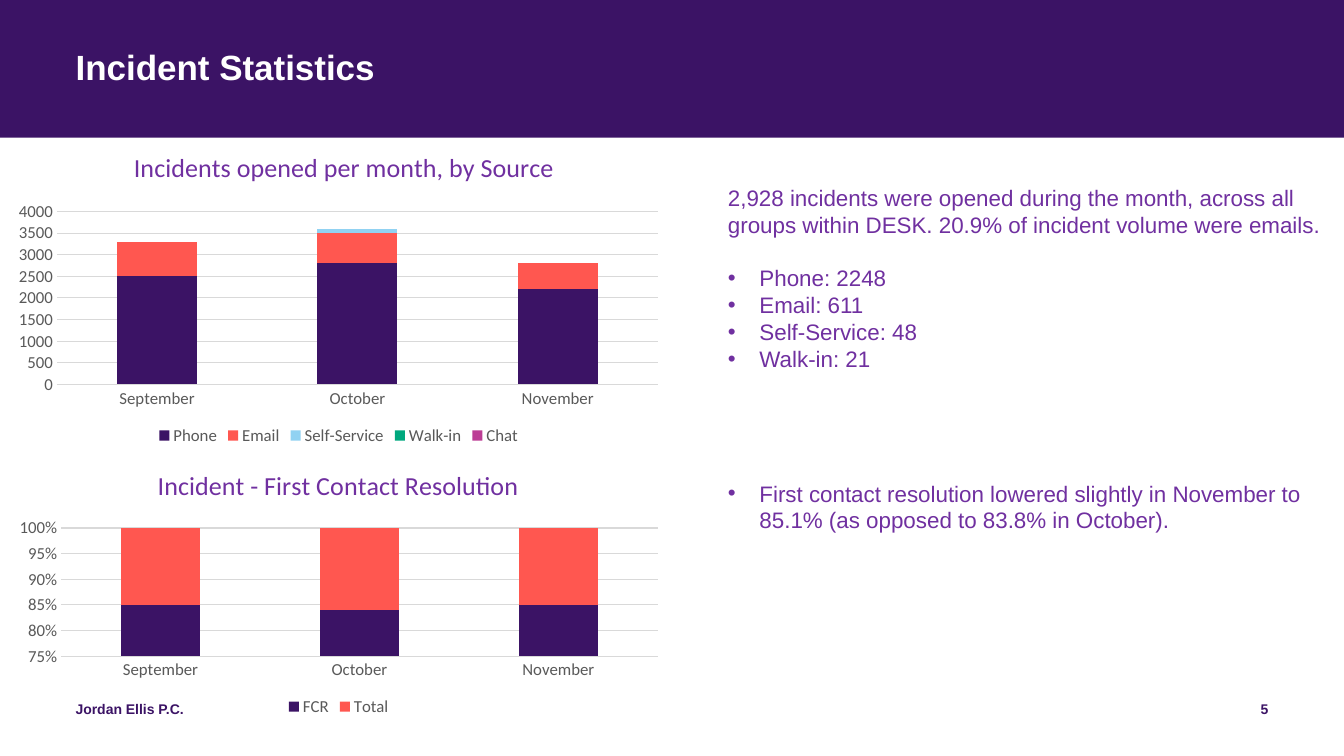
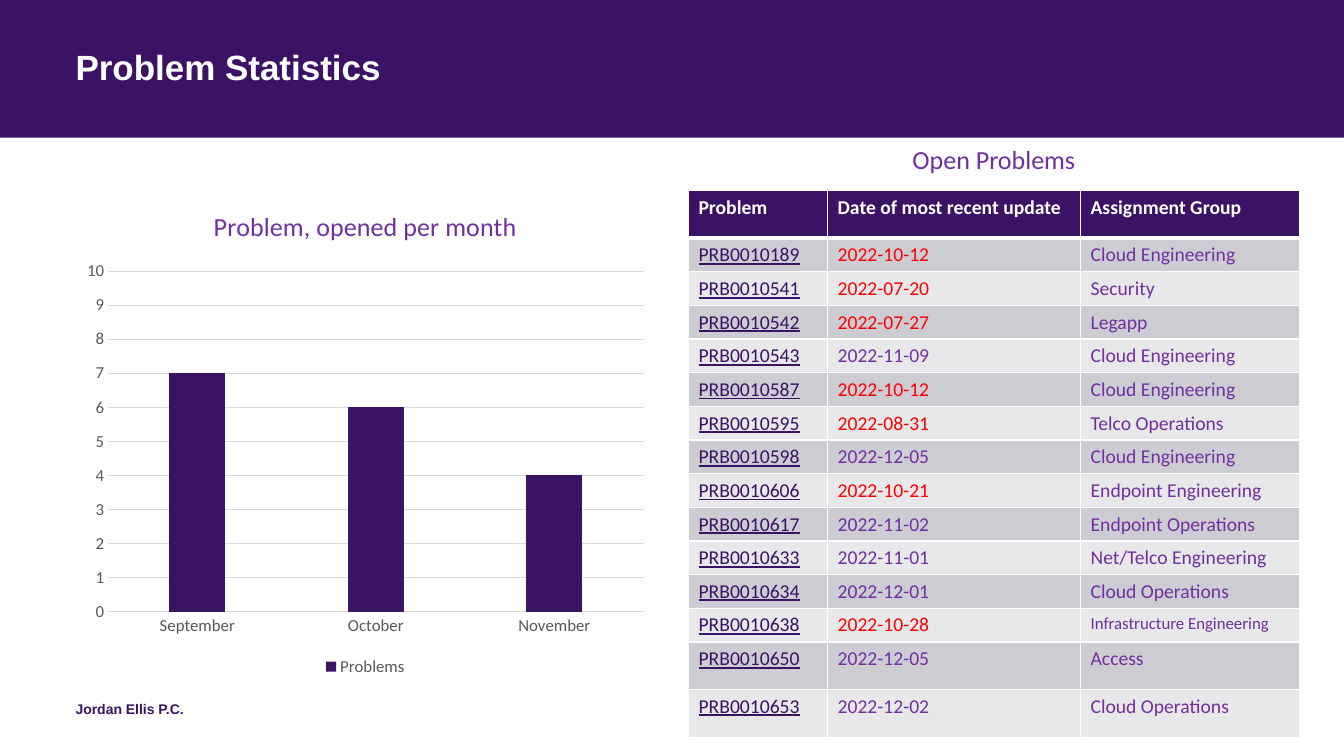
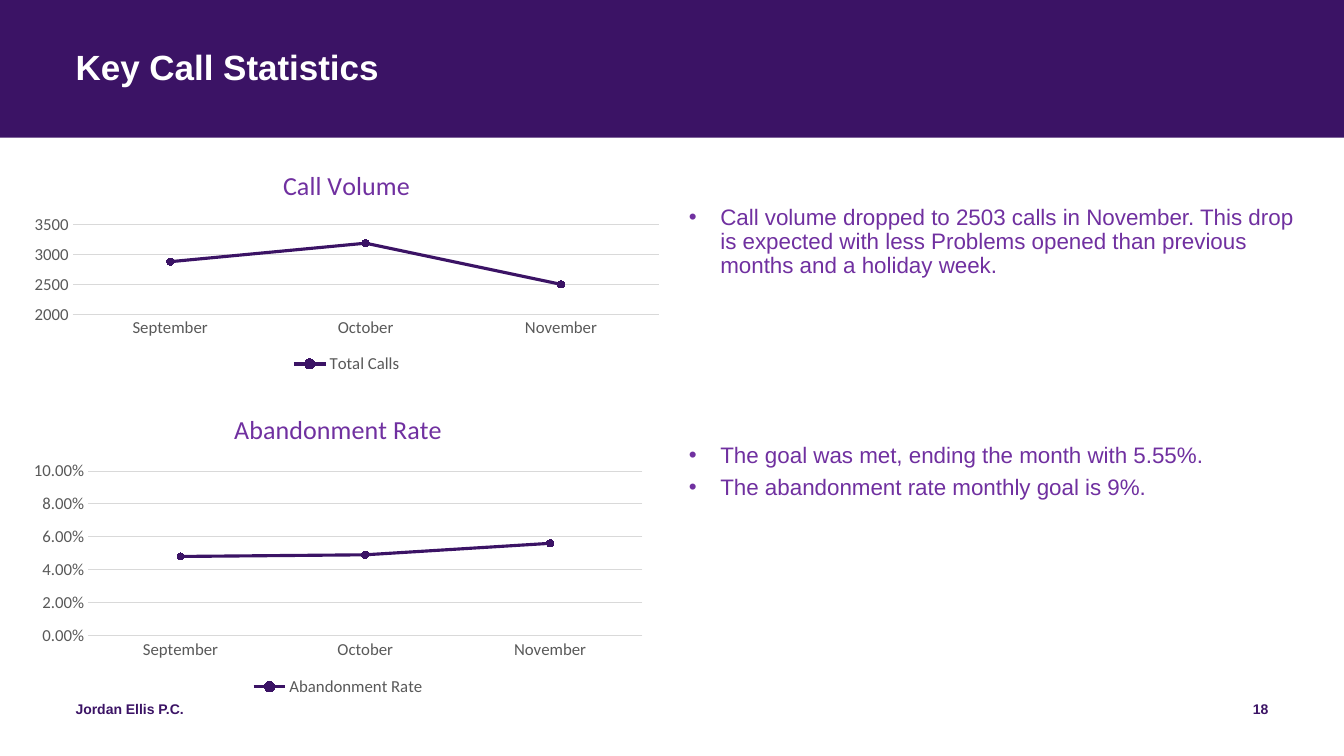
from lxml import etree
from pptx import Presentation
from pptx.chart.data import CategoryChartData
from pptx.dml.color import RGBColor
from pptx.enum.chart import XL_CHART_TYPE, XL_LEGEND_POSITION, XL_MARKER_STYLE, XL_TICK_MARK
from pptx.enum.shapes import MSO_SHAPE
from pptx.enum.text import PP_ALIGN
from pptx.oxml.ns import qn
from pptx.util import Pt

STACKED = XL_CHART_TYPE.COLUMN_STACKED
STACKED_100 = XL_CHART_TYPE.COLUMN_STACKED_100
CLUSTERED = XL_CHART_TYPE.COLUMN_CLUSTERED
LINE = XL_CHART_TYPE.LINE_MARKERS
BOTTOM = XL_LEGEND_POSITION.BOTTOM
CIRCLE = XL_MARKER_STYLE.CIRCLE
NO_TICK = XL_TICK_MARK.NONE
RECTANGLE = MSO_SHAPE.RECTANGLE
LEFT, CENTER, RIGHT = PP_ALIGN.LEFT, PP_ALIGN.CENTER, PP_ALIGN.RIGHT

INDIGO = RGBColor(0x3B, 0x13, 0x65)
PURPLE = RGBColor(0x70, 0x30, 0xA0)
CORAL = RGBColor(0xFF, 0x57, 0x50)
SKY = RGBColor(0x91, 0xD2, 0xF2)
GREEN = RGBColor(0x00, 0xA8, 0x7E)
MAGENTA = RGBColor(0xBC, 0x3D, 0x95)
RED = RGBColor(0xFF, 0x00, 0x00)
WHITE = RGBColor(0xFF, 0xFF, 0xFF)
GRAY = RGBColor(0x59, 0x59, 0x59)
GRID = RGBColor(0xD9, 0xD9, 0xD9)
ROW_DARK = RGBColor(0xCE, 0xCC, 0xD3)
ROW_LIGHT = RGBColor(0xE8, 0xE7, 0xEA)
SERIES_COLORS = (INDIGO, CORAL, SKY, GREEN, MAGENTA)

HEADING_FONT, CHART_FONT = "Arial", "Calibri"
CHART_TITLE_SIZE = 18.6
SLIDE_WIDTH, SLIDE_HEIGHT = 960, 540
BAND_HEIGHT = 98.3
MARGIN = 54
FOOTER_TOP, FOOTER_HEIGHT = 500.4, 28.8
HANGING_INDENT = 22.5
COMPANY = "Jordan Ellis P.C."
MONTHS = ("September", "October", "November")

PROBLEM_HEADER = ("Problem", "Date of most recent update", "Assignment Group")
OPEN_PROBLEMS = (
    ("PRB0010189", "2022-10-12", "Cloud Engineering"),
    ("PRB0010541", "2022-07-20", "Security"),
    ("PRB0010542", "2022-07-27", "Legapp"),
    ("PRB0010543", "2022-11-09", "Cloud Engineering"),
    ("PRB0010587", "2022-10-12", "Cloud Engineering"),
    ("PRB0010595", "2022-08-31", "Telco Operations"),
    ("PRB0010598", "2022-12-05", "Cloud Engineering"),
    ("PRB0010606", "2022-10-21", "Endpoint Engineering"),
    ("PRB0010617", "2022-11-02", "Endpoint Operations"),
    ("PRB0010633", "2022-11-01", "Net/Telco Engineering"),
    ("PRB0010634", "2022-12-01", "Cloud Operations"),
    ("PRB0010638", "2022-10-28", "Infrastructure Engineering"),
    ("PRB0010650", "2022-12-05", "Access"),
    ("PRB0010653", "2022-12-02", "Cloud Operations"),
)
OVERDUE_BEFORE = "2022-11-01"
COLUMN_WIDTHS = (99.36, 180.72, 156.3)
TALL_ROW, ROW = 34, 23
ROW_HEIGHTS = (TALL_ROW,) + (ROW,) * 12 + (TALL_ROW,) * 2


def style_font(font, size, color, name=HEADING_FONT, bold=False):
    """Set size, colour, typeface and weight of a font."""
    font.size = Pt(size)
    font.name = name
    font.bold = bold
    font.color.rgb = color


def add_text_frame(slide, box):
    """Add a wrapping text box without insets and return its frame."""
    frame = slide.shapes.add_textbox(*map(Pt, box)).text_frame
    frame.word_wrap = True
    frame.margin_left = frame.margin_top = frame.margin_right = frame.margin_bottom = 0
    return frame


def add_label(slide, box, text, size, color, name=HEADING_FONT, bold=True,
              align=LEFT, line_spacing=1.0):
    """Add a one-paragraph label."""
    paragraph = add_text_frame(slide, box).paragraphs[0]
    paragraph.text = text
    paragraph.alignment = align
    paragraph.line_spacing = line_spacing
    style_font(paragraph.runs[0].font, size, color, name, bold)


def add_bullet(paragraph):
    """Give a paragraph a hanging round bullet."""
    properties = paragraph._p.get_or_add_pPr()
    properties.set("marL", str(Pt(HANGING_INDENT)))
    properties.set("indent", str(-Pt(HANGING_INDENT)))
    etree.SubElement(properties, qn("a:buFont")).set("typeface", HEADING_FONT)
    etree.SubElement(properties, qn("a:buChar")).set("char", "•")


def add_commentary(slide, box, items, line_spacing=1.0, space_after=0):
    """Add paragraphs given as (text, bulleted, space before)."""
    frame = add_text_frame(slide, box)
    for index, (text, bulleted, space_before) in enumerate(items):
        paragraph = frame.add_paragraph() if index else frame.paragraphs[0]
        paragraph.text = text
        paragraph.line_spacing = line_spacing
        paragraph.space_before = Pt(space_before)
        paragraph.space_after = Pt(space_after)
        style_font(paragraph.runs[0].font, 16, PURPLE)
        if bulleted:
            add_bullet(paragraph)


def add_base_slide(deck, title, page=None):
    """Add a slide with the title band, footer and optional page number."""
    slide = deck.slides.add_slide(deck.slide_layouts[6])
    band = slide.shapes.add_shape(RECTANGLE, 0, 0, Pt(SLIDE_WIDTH), Pt(BAND_HEIGHT))
    band.shadow.inherit = False
    band.fill.solid()
    band.fill.fore_color.rgb = INDIGO
    band.line.fill.background()
    add_label(slide, (MARGIN, 36, SLIDE_WIDTH - 2 * MARGIN, 58), title, 25, WHITE,
              line_spacing=0.9)
    add_label(slide, (MARGIN, FOOTER_TOP, 324, FOOTER_HEIGHT), COMPANY, 10, INDIGO)
    if page:
        add_label(slide, (SLIDE_WIDTH - MARGIN - 216, FOOTER_TOP, 216, FOOTER_HEIGHT),
                  page, 10, INDIGO, align=RIGHT)
    return slide


def style_axis(axis):
    """Give an axis gray labels and no tick marks."""
    axis.major_tick_mark = axis.minor_tick_mark = NO_TICK
    style_font(axis.tick_labels.font, 12, GRAY, CHART_FONT)


def add_monthly_chart(slide, box, kind, title, series, scale, number_format="General"):
    """Add a titled chart by month; scale is (minimum, maximum, step)."""
    data = CategoryChartData()
    data.categories = MONTHS
    for name, values in series:
        data.add_series(name, values)
    chart = slide.shapes.add_chart(kind, *map(Pt, box), data).chart
    chart.font.size = Pt(10)
    chart.font.name = CHART_FONT
    chart.has_title = True
    chart.chart_title.include_in_layout = False
    heading = chart.chart_title.text_frame
    heading.text = title
    style_font(heading.paragraphs[0].runs[0].font, CHART_TITLE_SIZE, PURPLE, CHART_FONT)
    chart.has_legend = True
    chart.legend.position = BOTTOM
    chart.legend.include_in_layout = False
    style_font(chart.legend.font, 12, GRAY, CHART_FONT)

    months, amounts = chart.category_axis, chart.value_axis
    style_axis(months)
    style_axis(amounts)
    months.format.line.color.rgb = GRID
    months.format.line.width = Pt(0.75)
    amounts.format.line.fill.background()
    amounts.major_gridlines.format.line.color.rgb = GRID
    amounts.major_gridlines.format.line.width = Pt(0.75)
    amounts.minimum_scale, amounts.maximum_scale, amounts.major_unit = scale
    amounts.tick_labels.number_format = number_format
    amounts.tick_labels.number_format_is_linked = False
    chart.plots[0].vary_by_categories = False
    return chart


def add_column_chart(slide, box, kind, title, series, scale, number_format="General",
                     gap=150, overlap=100):
    """Add a monthly column chart and return it."""
    chart = add_monthly_chart(slide, box, kind, title, series, scale, number_format)
    plot = chart.plots[0]
    plot.gap_width, plot.overlap = gap, overlap
    for columns, color in zip(plot.series, SERIES_COLORS):
        columns.format.fill.solid()
        columns.format.fill.fore_color.rgb = color
    return chart


def add_line_chart(slide, box, title, series, scale, number_format="General"):
    """Add a monthly line chart with round markers."""
    chart = add_monthly_chart(slide, box, LINE, title, series, scale, number_format)
    for trend in chart.plots[0].series:
        trend.smooth = False
        trend.format.line.color.rgb = INDIGO
        trend.format.line.width = Pt(2.25)
        trend.marker.style = CIRCLE
        trend.marker.size = 5
        trend.marker.format.fill.solid()
        trend.marker.format.fill.fore_color.rgb = INDIGO
        trend.marker.format.line.color.rgb = INDIGO


def set_layout(part, position, settings):
    """Replace the layout of a chart part with a manual one."""
    for automatic in part.findall(qn("c:layout")):
        part.remove(automatic)
    layout = etree.Element(qn("c:layout"))
    manual = etree.SubElement(layout, qn("c:manualLayout"))
    for tag, value in settings:
        etree.SubElement(manual, qn(tag)).set("val", str(value))
    part.insert(position, layout)


def arrange_chart(chart, size, title_corner, plot_box):
    """Place the title and plot area, in points within a chart of the given size."""
    width, height = size
    edges = (("c:xMode", "edge"), ("c:yMode", "edge"))
    title_left, title_top = title_corner
    set_layout(chart.chart_title._element, 1, edges + (
        ("c:x", title_left / width), ("c:y", title_top / height)))
    left, top, plot_width, plot_height = plot_box
    set_layout(chart._chartSpace.chart.plotArea, 0, (("c:layoutTarget", "inner"),) + edges + (
        ("c:x", left / width), ("c:y", top / height),
        ("c:w", plot_width / width), ("c:h", plot_height / height)))


def add_borders(cell, top, bottom):
    """Draw white cell borders, one point wide at the sides."""
    properties = cell._tc.get_or_add_tcPr()
    widths = (("a:lnL", 1), ("a:lnR", 1), ("a:lnT", top), ("a:lnB", bottom))
    for position, (tag, width) in enumerate(widths):
        border = etree.Element(qn(tag), w=str(Pt(width)))
        fill = etree.SubElement(border, qn("a:solidFill"))
        etree.SubElement(fill, qn("a:srgbClr")).set("val", str(WHITE))
        properties.insert(position, border)


def fill_cell(cell, text, row, column):
    """Write and format one cell of the problem table."""
    cell.text = text
    font = cell.text_frame.paragraphs[0].runs[0].font
    cell.fill.solid()
    if row == 0:
        cell.fill.fore_color.rgb = INDIGO
        style_font(font, 14, WHITE, CHART_FONT, True)
    else:
        cell.fill.fore_color.rgb = ROW_DARK if row % 2 else ROW_LIGHT
        overdue = column == 1 and text < OVERDUE_BEFORE
        color = INDIGO if column == 0 else RED if overdue else PURPLE
        size = 12 if text.startswith("Infrastructure") else 14
        style_font(font, size, color, CHART_FONT)
        font.underline = column == 0
    add_borders(cell, 3 if row == 1 else 1, 3 if row == 0 else 1)


def add_problem_table(slide, left, top):
    """Add the headed table of open problems."""
    width = sum(COLUMN_WIDTHS)
    add_label(slide, (left, top, width, 26), "Open Problems", CHART_TITLE_SIZE, PURPLE,
              CHART_FONT, False, CENTER)
    rows = (PROBLEM_HEADER,) + OPEN_PROBLEMS
    table = slide.shapes.add_table(len(rows), len(COLUMN_WIDTHS), Pt(left), Pt(top + 33.84),
                                   Pt(width), Pt(sum(ROW_HEIGHTS))).table
    for column, column_width in zip(table.columns, COLUMN_WIDTHS):
        column.width = Pt(column_width)
    for row_index, texts in enumerate(rows):
        table.rows[row_index].height = Pt(ROW_HEIGHTS[row_index])
        for column_index, text in enumerate(texts):
            fill_cell(table.cell(row_index, column_index), text, row_index, column_index)


def build_incidents(deck):
    """Build the incident statistics slide."""
    slide = add_base_slide(deck, "Incident Statistics", "5")
    sources_size, resolution_size = (475.2, 220.32), (475.2, 186.48)
    sources = add_column_chart(slide, (4.32, 100.8) + sources_size, STACKED,
                               "Incidents opened per month, by Source",
                               (("Phone", (2500, 2800, 2200)),
                                ("Email", (800, 700, 600)),
                                ("Self-Service", (0, 100, 0)),
                                ("Walk-in", (0, 0, 0)),
                                ("Chat", (0, 0, 0))),
                               (0, 4000, 500))
    arrange_chart(sources, sources_size, (88, 2.3), (36.4, 50.3, 429.3, 123.6))
    resolution = add_column_chart(slide, (4.32, 328.32) + resolution_size, STACKED_100,
                                  "Incident - First Contact Resolution",
                                  (("FCR", (85, 84, 85)), ("Total", (15, 16, 15))),
                                  (0.75, 1, 0.05), "0%")
    arrange_chart(resolution, resolution_size, (105, 1.9), (39.3, 48.9, 426.4, 91.6))
    add_commentary(slide, (520, 131.5, 430, 350), (
        ("2,928 incidents were opened during the month, across all groups within DESK. "
         "20.9% of incident volume were emails.", False, 0),
        ("Phone: 2248", True, 19),
        ("Email: 611", True, 0),
        ("Self-Service: 48", True, 0),
        ("Walk-in: 21", True, 0),
        ("First contact resolution lowered slightly in November to 85.1% "
         "(as opposed to 83.8% in October).", True, 77)))


def build_problems(deck):
    """Build the problem statistics slide."""
    slide = add_base_slide(deck, "Problem Statistics")
    add_column_chart(slide, (MARGIN, 134.2, 414, 352), CLUSTERED,
                     "Problem, opened per month", (("Problems", (7, 6, 4)),),
                     (0, 10, 1), gap=219, overlap=-27)
    add_problem_table(slide, 491.76, 102.24)


def build_calls(deck):
    """Build the key call statistics slide."""
    slide = add_base_slide(deck, "Key Call Statistics", "18")
    add_line_chart(slide, (15.4, 108.72, 464.4, 161.28), "Call Volume",
                   (("Total Calls", (2880, 3190, 2500)),), (2000, 3500, 500))
    add_line_chart(slide, (15.12, 282.4, 452.88, 218.16), "Abandonment Rate",
                   (("Abandonment Rate", (0.048, 0.049, 0.056)),), (0, 0.1, 0.02), "0.00%")
    add_commentary(slide, (492, 147.2, 444, 110), (
        ("Call volume dropped to 2503 calls in November. This drop is expected with less "
         "Problems opened than previous months and a holiday week.", True, 0),), 0.9, 6)
    add_commentary(slide, (492, 317.2, 444, 180), (
        ("The goal was met, ending the month with 5.55%.", True, 0),
        ("The abandonment rate monthly goal is 9%.", True, 0)), 0.9, 6)


def main():
    """Build and save the deck."""
    deck = Presentation()
    deck.slide_width, deck.slide_height = Pt(SLIDE_WIDTH), Pt(SLIDE_HEIGHT)
    build_incidents(deck)
    build_problems(deck)
    build_calls(deck)
    deck.save("out.pptx")


if __name__ == "__main__":
    main()
